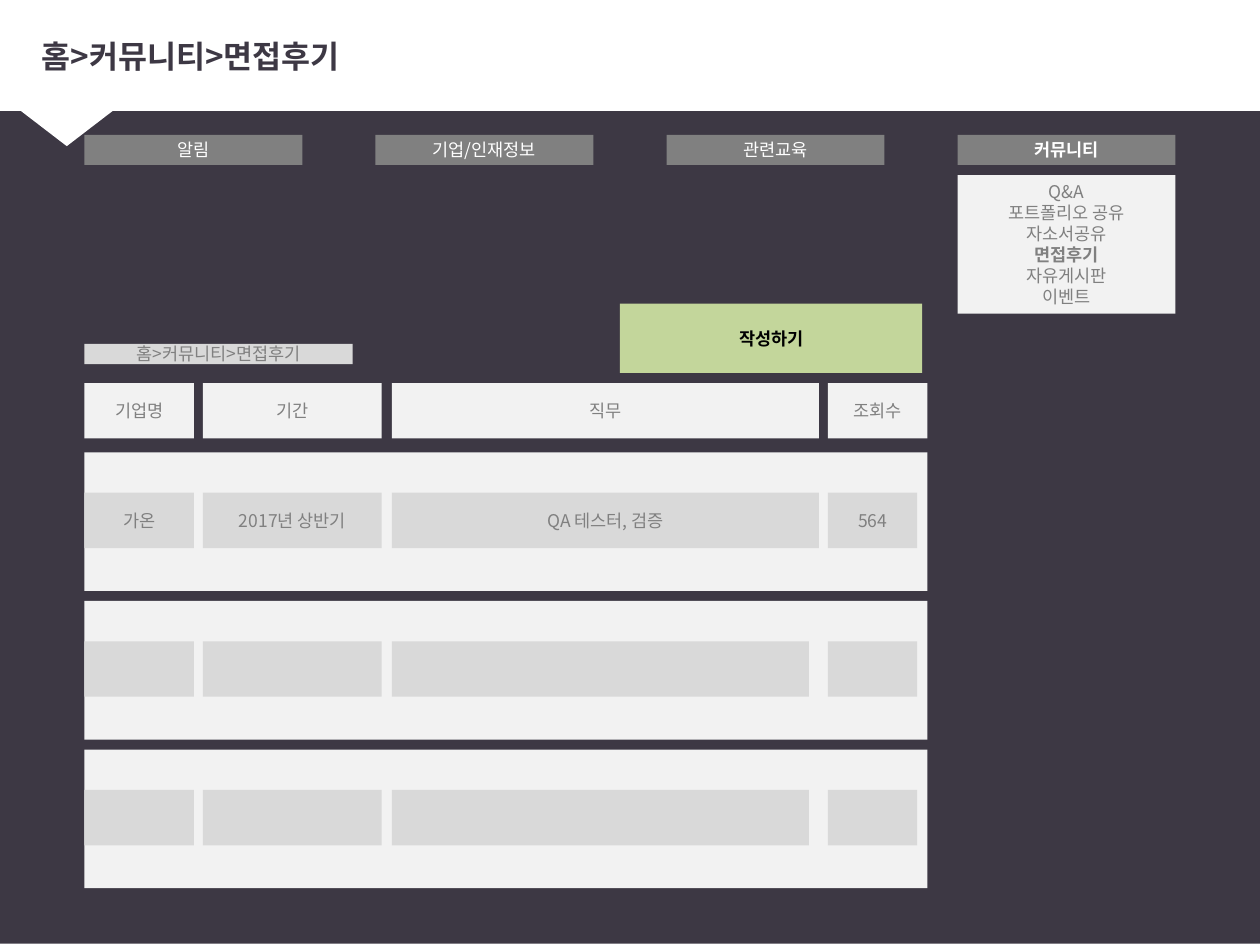
"""Build the interview review board of a job community site."""
from lxml import etree
from pptx import Presentation
from pptx import util as u
from pptx.dml.color import RGBColor
from pptx.enum import shapes, text
from pptx.oxml import ns

theme = {
    "font": "Noto Sans CJK KR", "head": 18, "body": 10,
    "dark": "3D3844", "white": "FFFFFF", "gray": "808080",
    "pale": "F2F2F2", "mid": "D9D9D9", "green": "C3D69B", "black": "000000",
}

deck = Presentation()
deck.slide_width, deck.slide_height = u.Inches(10), u.Inches(7.5)
slide = deck.slides.add_slide(deck.slide_layouts[5])


def style(para, size, ink, bold=False):
    for run in para.runs:
        font = run.font
        font.name, font.size, font.bold = theme["font"], u.Pt(theme[size]), bold
        font.color.rgb = RGBColor.from_string(theme[ink])
        face = etree.SubElement(run._r.get_or_add_rPr(), ns.qn("a:ea"))
        face.set("typeface", theme["font"])


def block(x, y, w, h, fill, words="", ink="gray", bold=None, kind="RECTANGLE"):
    box = slide.shapes.add_shape(
        shapes.MSO_SHAPE[kind], *(u.Inches(n) for n in (x, y, w, h)))
    box.shadow.inherit = False
    box.fill.solid()
    box.fill.fore_color.rgb = RGBColor.from_string(theme[fill])
    box.line.fill.background()
    if words:
        frame = box.text_frame
        frame.text = words
        frame.word_wrap = True
        frame.vertical_anchor = text.MSO_ANCHOR.MIDDLE
        for para in frame.paragraphs:
            para.alignment = text.PP_ALIGN.CENTER
            style(para, "body", ink, para.text == bold)
    return box


block(0, 0, 10, 7.49, "dark")
block(0, 0, 10, 0.88, "white")
block(-0.2, 0.6, 1.46, 0.56, "white", kind="ISOSCELES_TRIANGLE").rotation = 180

trail = "홈>커뮤니티>면접후기"
title = slide.shapes.title
title.left, title.top = u.Inches(0.23), u.Inches(0.13)
title.width, title.height = u.Inches(9.66), u.Inches(0.62)
title.text_frame.text = trail
title.text_frame.vertical_anchor = text.MSO_ANCHOR.MIDDLE
title.text_frame.paragraphs[0].alignment = text.PP_ALIGN.LEFT
style(title.text_frame.paragraphs[0], "head", "dark", True)
title.element.getparent().append(title.element)

left, tab, step = 0.67, 1.73, 2.31
for i, name in enumerate(["알림", "기업/인재정보", "관련교육", "커뮤니티"]):
    block(left + i * step, 1.07, tab, 0.24, "gray", name, "white", "커뮤니티")

items = ["Q&A", "포트폴리오 공유", "자소서공유", "면접후기", "자유게시판", "이벤트"]
menu = block(left + 3 * step, 1.39, tab, 1.1, "pale", "\n".join(items), bold="면접후기")
for para in menu.text_frame.paragraphs:
    para.line_spacing = u.Pt(12)

block(left, 2.73, 2.13, 0.16, "mid", trail)

cols = [(left, 0.87), (1.61, 1.42), (3.11, 3.39), (6.57, 0.79)]
high, gap = 0.44, 0.08
for (x, w), name in zip(cols, ["기업명", "기간", "직무", "조회수"]):
    block(x, 3.04, w, high, "pale", name)

rows = [["가온", "2017년 상반기", "QA 테스터, 검증", "564"], [""] * 4, [""] * 4]
for i, row in enumerate(rows):
    top = 3.59 + i * 1.18
    block(left, top, 6.69, 1.1, "pale")
    for j, ((x, w), cell) in enumerate(zip(cols, row)):
        trim = gap if j == 3 or (j == 2 and not cell) else 0
        block(x, top + 0.32, w - trim, high, "mid", cell)

block(4.92, 2.41, 2.4, 0.55, "green", "작성하기", "black", "작성하기")

deck.save("out.pptx")
